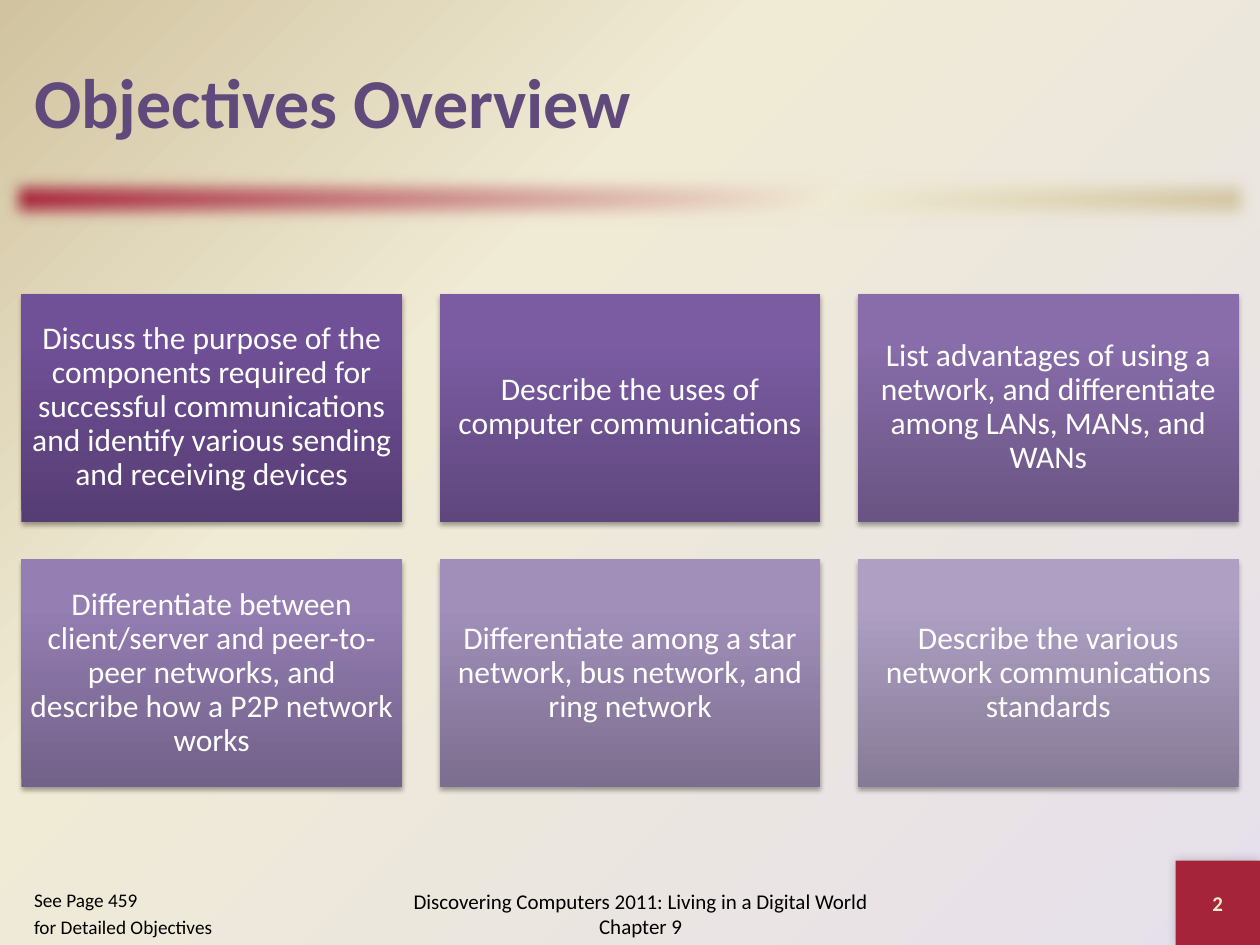
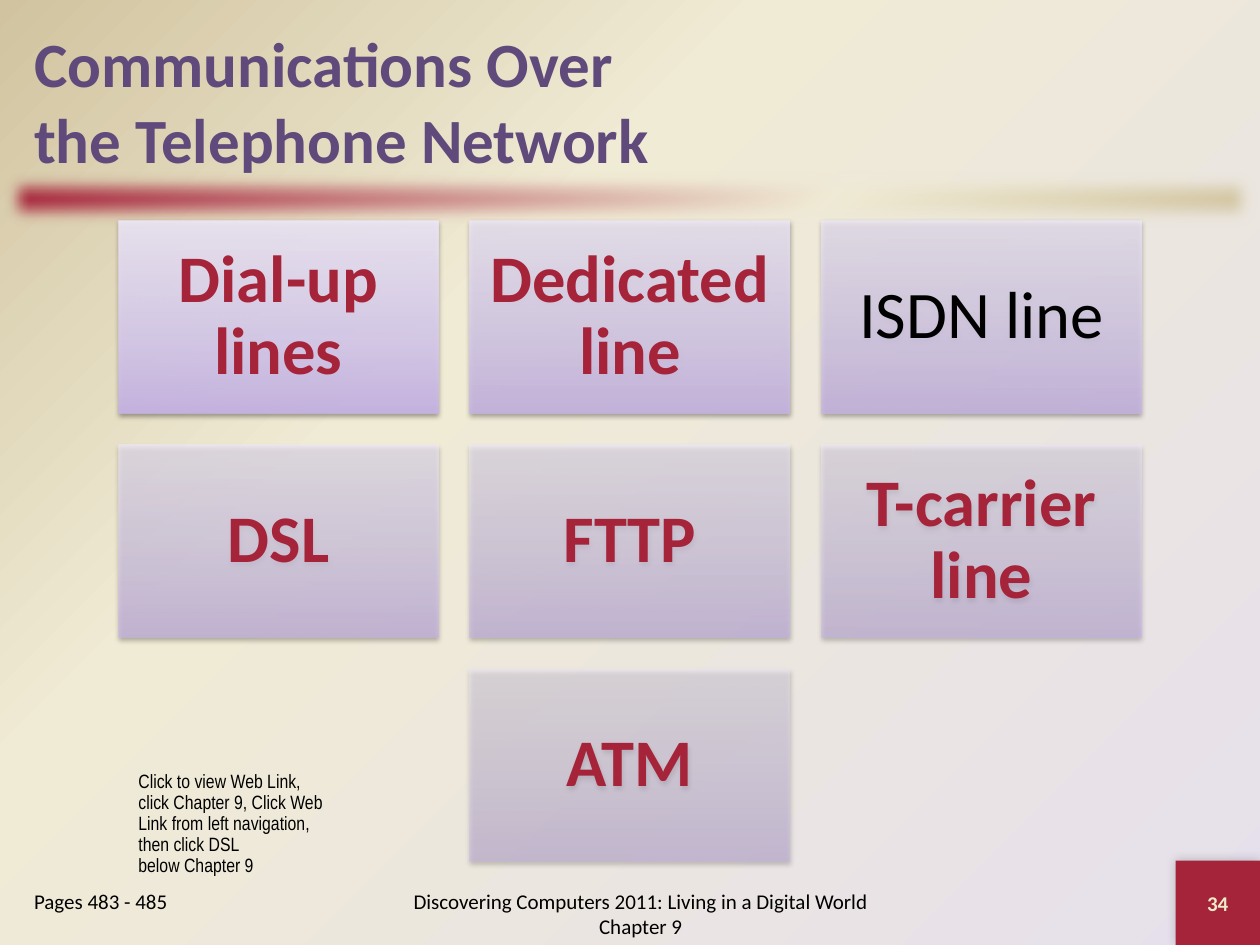
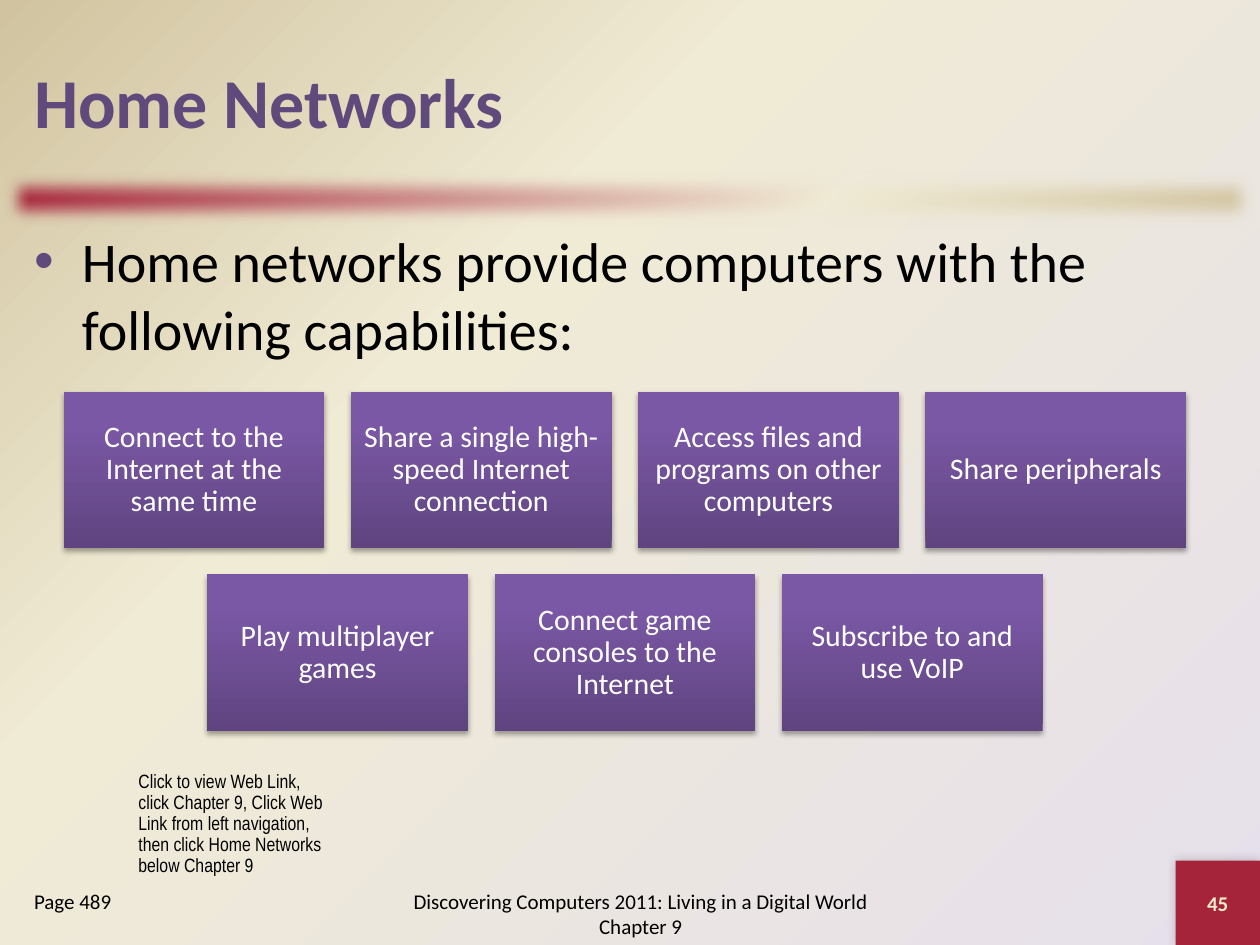
from pptx import Presentation
from pptx.dml.color import RGBColor
from pptx.enum.shapes import MSO_SHAPE as SHAPE
from pptx.enum.text import MSO_ANCHOR as ANCHOR, MSO_AUTO_SIZE as AUTO, PP_ALIGN as ALIGN
from pptx.oxml import parse_xml
from pptx.oxml.ns import nsdecls, qn
from pptx.util import Inches, Pt

COLORS = {
    "title": "604A7B", "red": "A52439", "cream": "F0EBD5", "tan": "D1C39F",
    "lilac": "E6E0EC", "number": "EEEBCA", "black": "000000", "white": "FFFFFF",
}
FOOTER = "Discovering Computers 2011: Living in a Digital World Chapter 9"
WEB_LINK = ("Click to view Web Link,\vclick Chapter 9, Click Web\v"
            "Link from left navigation,\nthen click {}\vbelow Chapter 9")
UPWARD = '<a:lin ang="16200000" scaled="0"/>'
DARK_SHADOW = ('<a:outerShdw {} blurRad="39400" dist="22900" dir="5400000"><a:srgbClr val="000000">'
               '<a:alpha val="35000"/></a:srgbClr></a:outerShdw>')
PALE_SHADOW = DARK_SHADOW.replace("22900", "20300").replace("35000", "38000")
CORNER_SHADOW = ('<a:outerShdw {} blurRad="76200" dist="0" dir="13500000"><a:srgbClr val="000000">'
                 '<a:alpha val="20000"/></a:srgbClr></a:outerShdw>')
SOFT_EDGE = '<a:softEdge {} rad="127000"/>'
CORNER = [Inches(v) for v in (9.33, 6.83, 0.67, 0.67)]


def put_gradient(parent, stops, direction, alpha=100):
    """Replace the empty fill of an element by a gradient."""
    gs = "".join(
        f'<a:gs pos="{pos * 1000}"><a:srgbClr val="{color}">'
        f'<a:alpha val="{round(alpha * 1000)}"/></a:srgbClr></a:gs>'
        for pos, color in stops)
    fill = parse_xml(f'<a:gradFill {nsdecls("a")} rotWithShape="1"><a:gsLst>{gs}</a:gsLst>'
                     f'{direction}</a:gradFill>')
    parent.replace(parent.find(qn("a:noFill")), fill)


def write(sp, text, size, color, bold=False, align=ALIGN.LEFT, anchor=ANCHOR.MIDDLE,
          font="Calibri", spacing=None):
    tf = sp.text_frame
    tf.text = text
    tf.word_wrap = True
    tf.auto_size = AUTO.NONE
    tf.vertical_anchor = anchor
    for p in tf.paragraphs:
        p.alignment = align
        if spacing:
            p.line_spacing = spacing
        for r in p.runs:
            r.font.name, r.font.size, r.font.bold = font, Pt(size), bold
            r.font.color.rgb = RGBColor.from_string(color)
    return tf


# Content: cards are listed row by row
slides = [
    {"title": "Objectives Overview", "title_size": 40, "number": "2",
     "pages": "See Page 459\nfor Detailed Objectives", "pages_size": 11,
     "size": (3.02, 1.81), "gap": 0.3, "top": 2.33, "center": 5,
     "inset": 0.07, "font_size": 18, "positions": (0, 80, 100),
     "shades": [("563D74", "705097", "704F99"), ("5F477D", "7B5CA3", "7C5BA5"),
                ("695483", "886DAA", "886DAC"), ("726189", "947EB2", "957EB4"),
                ("7C6E8F", "A18FBA", "A18FBC"), ("867B96", "AE9FC3", "AE9FC4")],
     "rows": [["Discuss the purpose of the components required for successful "
               "communications and identify various sending and receiving devices",
               "Describe the uses of computer communications",
               "List advantages of using a network, and differentiate among LANs, MANs, and WANs"],
              ["Differentiate between client/server and peer-to-peer networks, "
               "and describe how a P2P network works",
               "Differentiate among a star network, bus network, and ring network",
               "Describe the various network communications standards"]]},
    {"title": "Communications Over\vthe Telephone Network", "title_size": 36, "number": "34",
     "pages": "Pages 483 - 485", "pages_size": 12, "web_link": "DSL",
     "size": (2.54, 1.53), "gap": 0.25, "top": 1.75, "center": 5,
     "inset": 0.15, "font_size": 38, "positions": (0, 35, 100), "pale": True,
     "shades": [("C9B5E8", "D8CBEE", "F0EAF9")],
     "rows": [["Dial-up lines", "Dedicated line", "ISDN line"],
              ["DSL", "FTTP", "T-carrier line"], ["ATM"]]},
    {"title": "Home Networks", "title_size": 40, "number": "45",
     "pages": "Page 489", "pages_size": 12, "web_link": "Home Networks",
     "bullet": "Home networks provide computers with the following capabilities:",
     "size": (2.07, 1.24), "gap": 0.21, "top": 3.11, "center": 4.96,
     "inset": 0.07, "font_size": 17, "positions": (0, 80, 100),
     "shades": [("5F4480", "7B58A6", "7C57A8")],
     "rows": [["Connect to the Internet at the same time",
               "Share a single high-speed Internet connection",
               "Access files and programs on other computers", "Share peripherals"],
              ["Play multiplayer games", "Connect game consoles to the Internet",
               "Subscribe to and use VoIP"]]},
]

prs = Presentation()
prs.slide_width, prs.slide_height = Inches(10), Inches(7.5)

# Shared background
master = prs.slide_master
master.background.fill.background()
put_gradient(master.element.find(".//" + qn("p:bgPr")),
             [(0, COLORS["lilac"]), (65, COLORS["cream"]), (100, COLORS["tan"])],
             '<a:path path="circle"><a:fillToRect l="100000" t="100000"/></a:path>')

for info in slides:
    # Two Content has a second body for the bullet
    s = prs.slides.add_slide(prs.slide_layouts[3 if "bullet" in info else 1])

    # Title
    sp = s.shapes.title
    sp.left, sp.top, sp.width, sp.height = [Inches(v) for v in (0.17, 0.17, 9.67, 1.25)]
    write(sp, info["title"], info["title_size"], COLORS["title"], bold=True)

    # Page reference and bullet
    bodies = [(s.placeholders[1], info["pages"], info["pages_size"],
               (0.17, 7, 1.83, 0.5), ["<a:buNone {}/>"])]
    if "bullet" in info:
        bodies.append((s.placeholders[2], info["bullet"], 32, (0.17, 1.75, 9.67, 5.08),
                       [f'<a:buClr {{}}><a:srgbClr val="{COLORS["title"]}"/></a:buClr>',
                        '<a:buChar {} char="•"/>']))
    for sp, text, size, box, marks in bodies:
        sp.left, sp.top, sp.width, sp.height = [Inches(v) for v in box]
        tf = write(sp, text, size, COLORS["black"], anchor=ANCHOR.TOP)
        tf.paragraphs[0].space_before = Pt(0)
        for p in tf.paragraphs:
            pPr = p._p.get_or_add_pPr()
            pPr.set("marL", str(Inches(0.38)))
            pPr.set("indent", str(Inches(-0.38)))
            for mark in marks:
                pPr.append(parse_xml(mark.format(nsdecls("a"))))

    # Cards, each row centred
    w, h = info["size"]
    gap, shades = info["gap"], info["shades"]
    pale = info.get("pale", False)
    last = sum(len(row) for row in info["rows"]) - 1
    i = 0
    for n, row in enumerate(info["rows"]):
        left = info["center"] - (len(row) * (w + gap) - gap) / 2
        for col, text in enumerate(row):
            sp = s.shapes.add_shape(SHAPE.RECTANGLE, Inches(left + col * (w + gap)),
                                    Inches(info["top"] + n * (h + gap)), Inches(w), Inches(h))
            sp.fill.background()
            sp.line.fill.background()
            sp.shadow.inherit = False
            spPr = sp.element.spPr
            put_gradient(spPr, zip(info["positions"], shades[i % len(shades)]), UPWARD,
                         90 - 40 * i / last if pale else 100)
            shadow = PALE_SHADOW if pale else DARK_SHADOW
            spPr.find(qn("a:effectLst")).append(parse_xml(shadow.format(nsdecls("a"))))
            color = "white" if not pale else "black" if text == "ISDN line" else "red"
            tf = write(sp, text, info["font_size"], COLORS[color], bold=color == "red",
                       align=ALIGN.CENTER, spacing=0.9)
            tf.margin_left = tf.margin_right = Inches(info["inset"])
            tf.margin_top = tf.margin_bottom = Inches(info["inset"])
            i += 1

    # Footer, slide number and web link note
    sp = s.shapes.add_textbox(Inches(3), Inches(7), Inches(4.17), Inches(0.5))
    write(sp, FOOTER, 12, COLORS["black"], align=ALIGN.CENTER)
    sp = s.shapes.add_textbox(*CORNER)
    write(sp, info["number"], 12, COLORS["number"], bold=True, align=ALIGN.CENTER)
    if "web_link" in info:
        sp = s.shapes.add_textbox(Inches(1), Inches(6.08), Inches(1.92), Inches(0.93))
        write(sp, WEB_LINK.format(info["web_link"]), 11, COLORS["black"],
              anchor=ANCHOR.TOP, font="Arial Narrow", spacing=0.9)

# Shared band and corner, moved from the last slide to the master
band = s.shapes.add_shape(SHAPE.RECTANGLE, 0, Inches(1.33), Inches(10), Inches(0.5))
band.fill.background()
put_gradient(band.element.spPr,
             [(0, COLORS["red"]), (65, COLORS["cream"]), (100, COLORS["tan"])],
             '<a:lin ang="2700000" scaled="0"/>')
corner = s.shapes.add_shape(SHAPE.RECTANGLE, *CORNER)
corner.fill.solid()
corner.fill.fore_color.rgb = RGBColor.from_string(COLORS["red"])
for sp, effect in ((band, SOFT_EDGE), (corner, CORNER_SHADOW)):
    sp.line.fill.background()
    sp.shadow.inherit = False
    sp.element.spPr.find(qn("a:effectLst")).append(parse_xml(effect.format(nsdecls("a"))))
    master.shapes.element.append(sp.element)

prs.save("out.pptx")
